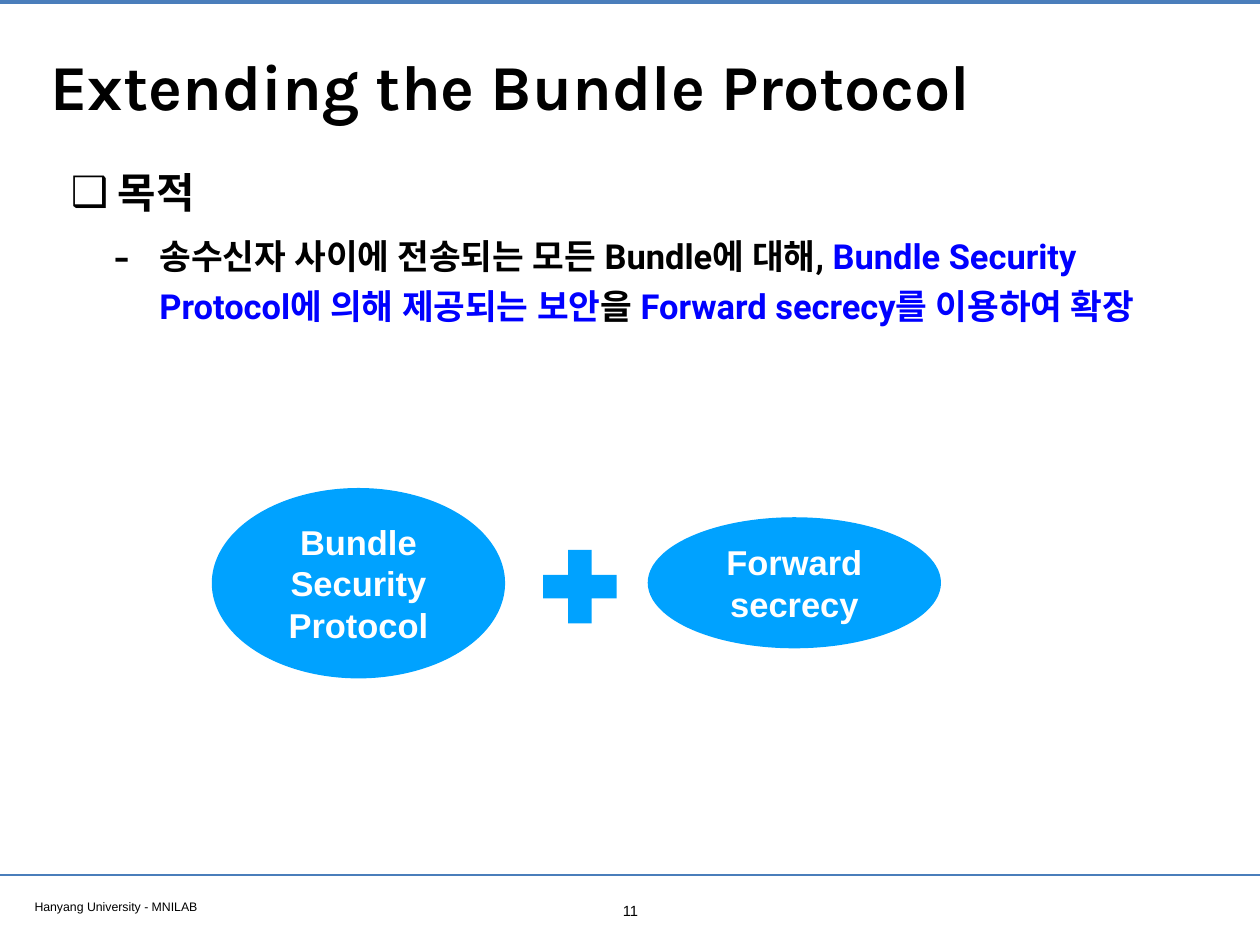
import lxml.etree
import pptx
import pptx.dml.color
import pptx.enum.shapes
import pptx.enum.text
import pptx.oxml.ns
import pptx.util

EMU_PER_PX = 9144
COLORS = {
    "text": "000000",
    "accent": "0000FF",
    "rule": "4A7EBB",
    "shape": "00A2FF",
    "inverse": "FFFFFF",
}
ALIGN = pptx.enum.text.PP_ALIGN
ANCHOR = pptx.enum.text.MSO_ANCHOR
SHAPE = pptx.enum.shapes.MSO_SHAPE


def px(length):
    return pptx.util.Emu(length * EMU_PER_PX)


def color(name):
    return pptx.dml.color.RGBColor.from_string(COLORS[name])


def add_element(parent, tag, **attributes):
    return lxml.etree.SubElement(parent, pptx.oxml.ns.qn(tag), **attributes)


def add_text(text, paragraph, size, font="Arial", fill="text", bold=False):
    run = paragraph.add_run()
    run.text = text
    run.font.size = pptx.util.Pt(size)
    run.font.name = font
    run.font.bold = bold
    run.font.color.rgb = color(fill)
    add_element(run.font._element, "a:ea", typeface=font)


class SlideBuilder:
    def __init__(self, width, height):
        self.presentation = pptx.Presentation()
        self.presentation.slide_width = px(width)
        self.presentation.slide_height = px(height)
        self.slide = self.presentation.slides.add_slide(self.presentation.slide_layouts[1])
        self.inset = px(6)

    def frame(self, shape, anchor=ANCHOR.TOP):
        frame = shape.text_frame
        frame.word_wrap = True
        frame.auto_size = pptx.enum.text.MSO_AUTO_SIZE.NONE
        frame.vertical_anchor = anchor
        frame.margin_left = frame.margin_right = self.inset
        frame.margin_top = frame.margin_bottom = self.inset
        return frame

    def place(self, shape, left, top, width, height):
        shape.left, shape.top = px(left), px(top)
        shape.width, shape.height = px(width), px(height)

    def title(self, text, box):
        shape = self.slide.shapes.title
        self.place(shape, *box)
        paragraph = self.frame(shape, ANCHOR.MIDDLE).paragraphs[0]
        paragraph.alignment = ALIGN.LEFT
        add_text(text, paragraph, size=52, font="Karla", bold=True)

    def body(self, items, box):
        shape = self.slide.placeholders[1]
        self.place(shape, *box)
        frame = self.frame(shape)
        for index, item in enumerate(items):
            paragraph = frame.add_paragraph() if index else frame.paragraphs[0]
            paragraph.level = item["level"]
            paragraph.line_spacing = 1.2
            paragraph.space_before = pptx.util.Pt(8 if index else 0)
            properties = paragraph._p.get_or_add_pPr()
            properties.set("marL", str(px(item["margin"])))
            properties.set("indent", str(-px(item["hanging"])))
            add_element(properties, "a:buSzPct", val=str(item["bullet_percent"] * 1000))
            add_element(properties, "a:buChar", char=item["bullet"])
            for text, fill in item["runs"]:
                add_text(text, paragraph, size=item["size"], font="Roboto", fill=fill, bold=True)

    def label(self, text, box, size, alignment=ALIGN.LEFT):
        shape = self.slide.shapes.add_textbox(*map(px, box))
        paragraph = self.frame(shape).paragraphs[0]
        paragraph.alignment = alignment
        add_text(text, paragraph, size=size)

    def rule(self, top, right, weight):
        line = self.slide.shapes.add_connector(
            pptx.enum.shapes.MSO_CONNECTOR.STRAIGHT, 0, px(top), px(right), px(top)
        )
        line.line.color.rgb = color("rule")
        line.line.width = pptx.util.Pt(weight)
        add_element(line._element.spPr, "a:effectLst")

    def shape(self, kind, box, lines=()):
        shape = self.slide.shapes.add_shape(kind, *map(px, box))
        shape.shadow.inherit = False
        shape.fill.solid()
        shape.fill.fore_color.rgb = color("shape")
        shape.line.fill.background()
        frame = self.frame(shape, ANCHOR.MIDDLE)
        for index, text in enumerate(lines):
            paragraph = frame.add_paragraph() if index else frame.paragraphs[0]
            paragraph.alignment = ALIGN.CENTER
            add_text(text, paragraph, size=28, fill="inverse", bold=True)


def main():
    builder = SlideBuilder(1422, 1067)
    builder.rule(top=2, right=1422, weight=3.2)
    builder.rule(top=988, right=1422, weight=2)
    builder.label("Hanyang University - MNILAB", (33, 1009, 546, 26), size=10)
    builder.title("Extending the Bundle Protocol", (51, 28, 1321, 135))
    purpose = {
        "level": 0, "margin": 53, "hanging": 53, "size": 34,
        "bullet": "❑", "bullet_percent": 100,
        "runs": [("목적", "text")],
    }
    detail = {
        "level": 1, "margin": 100, "hanging": 52, "size": 28,
        "bullet": "-", "bullet_percent": 145,
        "runs": [
            ("송수신자 사이에 전송되는 모든 Bundle에 대해, ", "text"),
            ("Bundle Security Protocol에 의해 제공되는 보안", "accent"),
            ("을 ", "text"),
            ("Forward secrecy를 이용하여 확장", "accent"),
        ],
    }
    builder.body([purpose, detail], (74, 171, 1266, 284))
    builder.label("11", (692, 1012, 39, 31), size=12, alignment=ALIGN.CENTER)
    builder.shape(SHAPE.OVAL, (239, 551, 331, 215), ["Bundle", "Security", "Protocol"])
    builder.shape(SHAPE.OVAL, (731, 584, 331, 148), ["Forward", "secrecy"])
    builder.shape(SHAPE.MATH_PLUS, (598, 606, 113, 113))
    builder.presentation.save("out.pptx")


if __name__ == "__main__":
    main()
